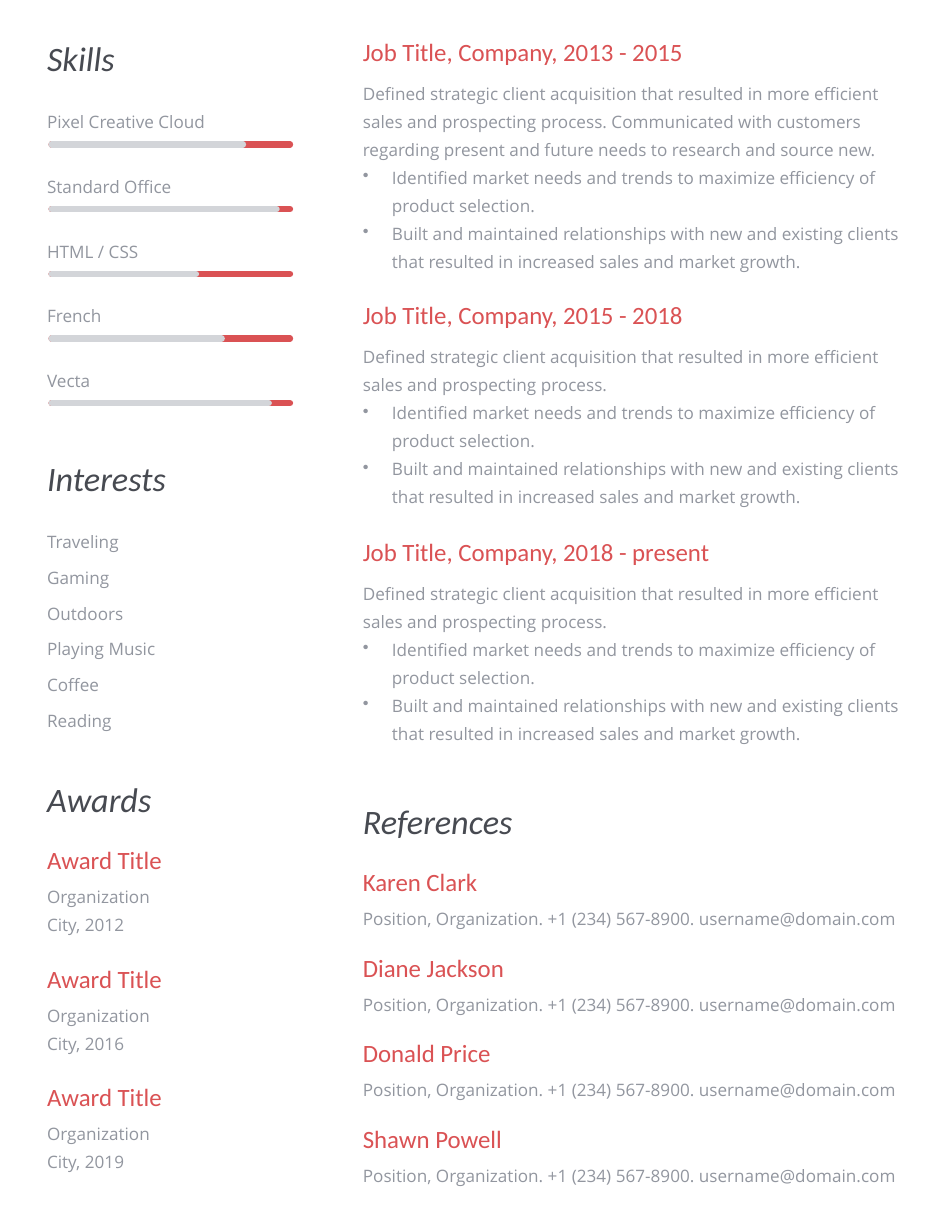
import pptx
import pptx.dml.color
import pptx.enum.shapes
import pptx.enum.text
import pptx.oxml
import pptx.oxml.ns
import pptx.util
from pptx.util import Inches, Pt

RED = pptx.dml.color.RGBColor(0xDA, 0x52, 0x54)
DARK = pptx.dml.color.RGBColor(0x47, 0x4A, 0x51)
GREY = pptx.dml.color.RGBColor(0x92, 0x96, 0x9F)
LIGHT = pptx.dml.color.RGBColor(0xD3, 0xD5, 0xD9)

LEFT, LEFT_WIDTH = 0.42, 2.22
RIGHT, RIGHT_WIDTH = 3.24, 4.8
BAR_LEFT, BAR_RIGHT = 0.46, 2.59
SECTION_GAP = 0.27
HEADING_HEIGHT = 0.37


class Resume:
    """Holds the text styles and the current slide."""

    FONTS = {
        "heading": {"name": "Calibri", "size": Pt(22), "italic": True, "color": DARK},
        "subtitle": {"name": "Calibri", "size": Pt(16), "italic": False, "color": RED},
        "text": {"name": "Open Sans", "size": Pt(11), "italic": False, "color": GREY},
    }
    LINE_SPACING = Pt(18)
    BULLET_INDENT = Inches(0.26)

    def __init__(self, slide):
        self.slide = slide

    def prepare(self, shape, left, top, width, height, wrap=True, anchor="TOP"):
        box = {"left": left, "top": top, "width": width, "height": height}
        for name, value in box.items():
            setattr(shape, name, Inches(value))
        frame = {
            "margin_left": 0, "margin_top": 0, "margin_right": 0, "margin_bottom": 0,
            "word_wrap": wrap,
            "vertical_anchor": pptx.enum.text.MSO_ANCHOR[anchor],
            "auto_size": pptx.enum.text.MSO_AUTO_SIZE.SHAPE_TO_FIT_TEXT,
        }
        for name, value in frame.items():
            setattr(shape.text_frame, name, value)

    def fill_paragraph(self, paragraph, text, style, after=0, bullet=False):
        properties = paragraph._p.get_or_add_pPr()
        indent = self.BULLET_INDENT if bullet else 0
        properties.set("marL", str(indent))
        properties.set("indent", str(-indent))
        mark = 'buChar char="•"' if bullet else "buNone"
        properties.append(pptx.oxml.parse_xml(
            f"<a:{mark} {pptx.oxml.ns.nsdecls('a')}/>"))
        layout = {
            "alignment": pptx.enum.text.PP_ALIGN.LEFT,
            "space_before": Pt(0),
            "space_after": Pt(after),
            "line_spacing": self.LINE_SPACING if style == "text" else 1.0,
        }
        for name, value in layout.items():
            setattr(paragraph, name, value)
        run = paragraph.add_run()
        run.text = text
        for name, value in self.FONTS[style].items():
            if name == "color":
                run.font.color.rgb = value
            else:
                setattr(run.font, name, value)

    def heading(self, text, left, top, width, shape=None):
        shape = shape or self.slide.shapes.add_textbox(0, 0, 0, 0)
        self.prepare(shape, left, top, width, HEADING_HEIGHT, False, "BOTTOM")
        self.fill_paragraph(shape.text_frame.paragraphs[0], text, "heading")

    def lines(self, items, left, top, width, height, after=0, shape=None):
        """Plain lines of body text."""
        self.block(None, items, [], left, top, width, height, after, shape)

    def block(self, subtitle, texts, bullets, left, top, width, height,
              after=0, shape=None):
        """An optional red subtitle, body lines, then bulleted lines."""
        shape = shape or self.slide.shapes.add_textbox(0, 0, 0, 0)
        self.prepare(shape, left, top, width, height)
        entries = [(subtitle, "subtitle", after, False)] if subtitle else []
        text_after = 0 if subtitle else after
        entries += [(text, "text", text_after, False) for text in texts]
        entries += [(text, "text", 0, True) for text in bullets]
        frame = shape.text_frame
        for index, entry in enumerate(entries):
            paragraph = frame.add_paragraph() if index else frame.paragraphs[0]
            self.fill_paragraph(paragraph, *entry)

    def bar(self, top, right, color):
        connector = self.slide.shapes.add_connector(
            pptx.enum.shapes.MSO_CONNECTOR.STRAIGHT,
            Inches(BAR_LEFT), Inches(top), Inches(right), Inches(top))
        connector.line.color.rgb = color
        connector.line.width = Pt(4)
        properties = connector.element.spPr
        properties.find(pptx.oxml.ns.qn("a:ln")).set("cap", "rnd")
        properties.append(pptx.oxml.parse_xml(
            f"<a:effectLst {pptx.oxml.ns.nsdecls('a')}/>"))


SUMMARY = ("Defined strategic client acquisition that resulted in more efficient "
           "sales and prospecting process.")
LONG_SUMMARY = SUMMARY + (" Communicated with customers regarding present and future "
                          "needs to research and source new.")
DUTIES = [
    "Identified market needs and trends to maximize efficiency of product selection.",
    "Built and maintained relationships with new and existing clients that resulted "
    "in increased sales and market growth.",
]
JOBS = [("2013 - 2015", LONG_SUMMARY, 2.08), ("2015 - 2018", SUMMARY, 1.84),
        ("2018 - present", SUMMARY, 1.84)]
# Skill name and the right end of its grey bar
SKILLS = [("Pixel Creative Cloud", 2.17), ("Standard Office", 2.47),
          ("HTML / CSS", 1.75), ("French", 1.98), ("Vecta", 2.4)]
INTERESTS = ["Traveling", "Gaming", "Outdoors", "Playing Music", "Coffee", "Reading"]
AWARD_YEARS = [2012, 2016, 2019]
REFERENCES = ["Karen Clark", "Diane Jackson", "Donald Price", "Shawn Powell"]
CONTACT = "Position, Organization. +1 (234) 567-8900. username@domain.com"


def main():
    presentation = pptx.Presentation()
    presentation.slide_width = Inches(8.5)
    presentation.slide_height = Inches(11)
    slide = presentation.slides.add_slide(presentation.slide_layouts[1])
    resume = Resume(slide)

    # Work experience
    top = 0.33
    for years, summary, height in JOBS:
        resume.block(f"Job Title, Company, {years}", [summary], DUTIES,
                     RIGHT, top, RIGHT_WIDTH, height, after=6)
        top += height + SECTION_GAP

    # Skills with level bars
    resume.heading("Skills", LEFT, 0.33, 0.7, slide.shapes.title)
    pitch = (3.24 - 0.93) / (len(SKILLS) - 1)
    for index, (skill, level_right) in enumerate(SKILLS):
        top = 0.93 + index * pitch
        resume.lines([skill], LEFT, top, LEFT_WIDTH, 0.23)
        resume.bar(top + 0.36, BAR_RIGHT, RED)
        resume.bar(top + 0.36, level_right, LIGHT)

    # Interests
    resume.heading("Interests", LEFT, 4.08, 1.08)
    resume.lines(INTERESTS, LEFT, 4.68, LEFT_WIDTH, 1.84, after=5,
                 shape=slide.placeholders[1])

    # Awards
    resume.heading("Awards", LEFT, 6.95, 0.99)
    for index, year in enumerate(AWARD_YEARS):
        resume.block("Award Title", ["Organization", f"City, {year}"], [],
                     LEFT, 7.54 + index * 1.06, LEFT_WIDTH, 0.79, after=3)

    # References
    resume.heading("References", RIGHT, 7.14, 1.39)
    pitch = (10.03 - 7.74) / (len(REFERENCES) - 1)
    for index, person in enumerate(REFERENCES):
        resume.block(person, [CONTACT], [],
                     RIGHT, 7.74 + index * pitch, RIGHT_WIDTH, 0.54, after=3)

    presentation.save("out.pptx")


if __name__ == "__main__":
    main()
